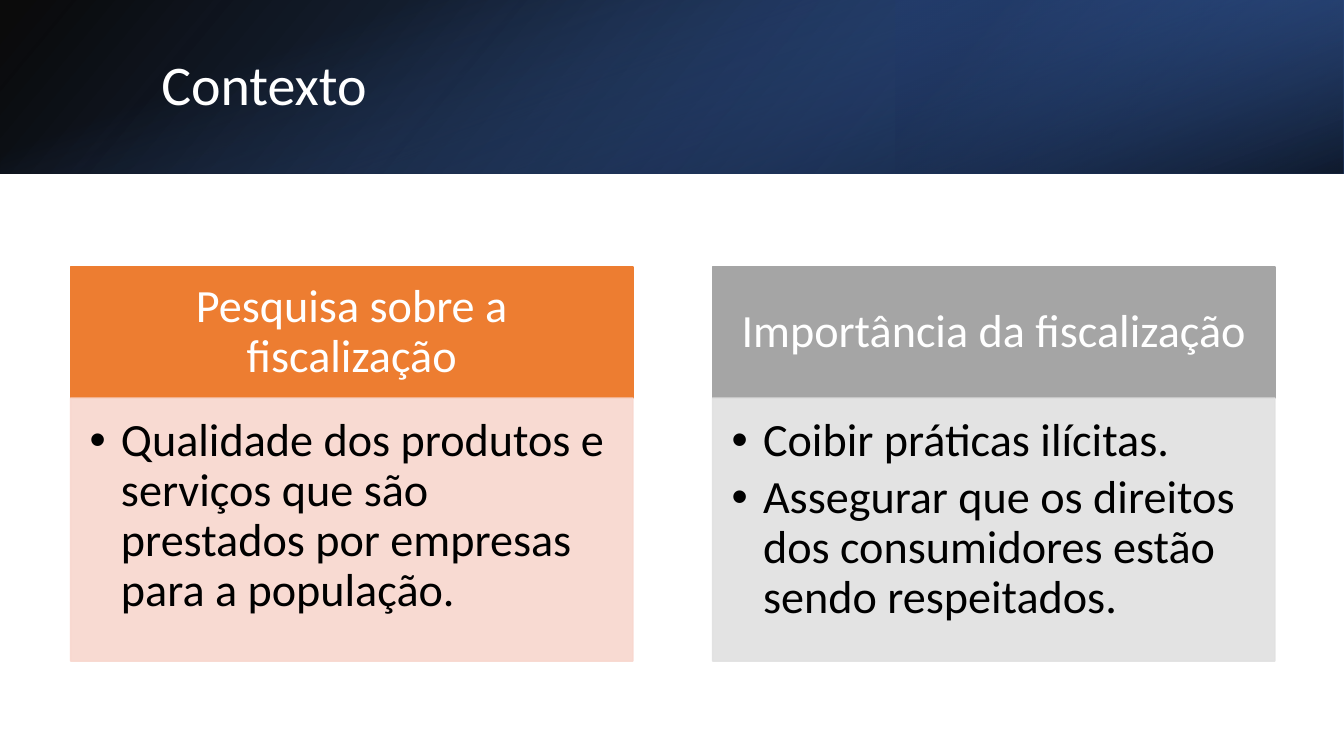
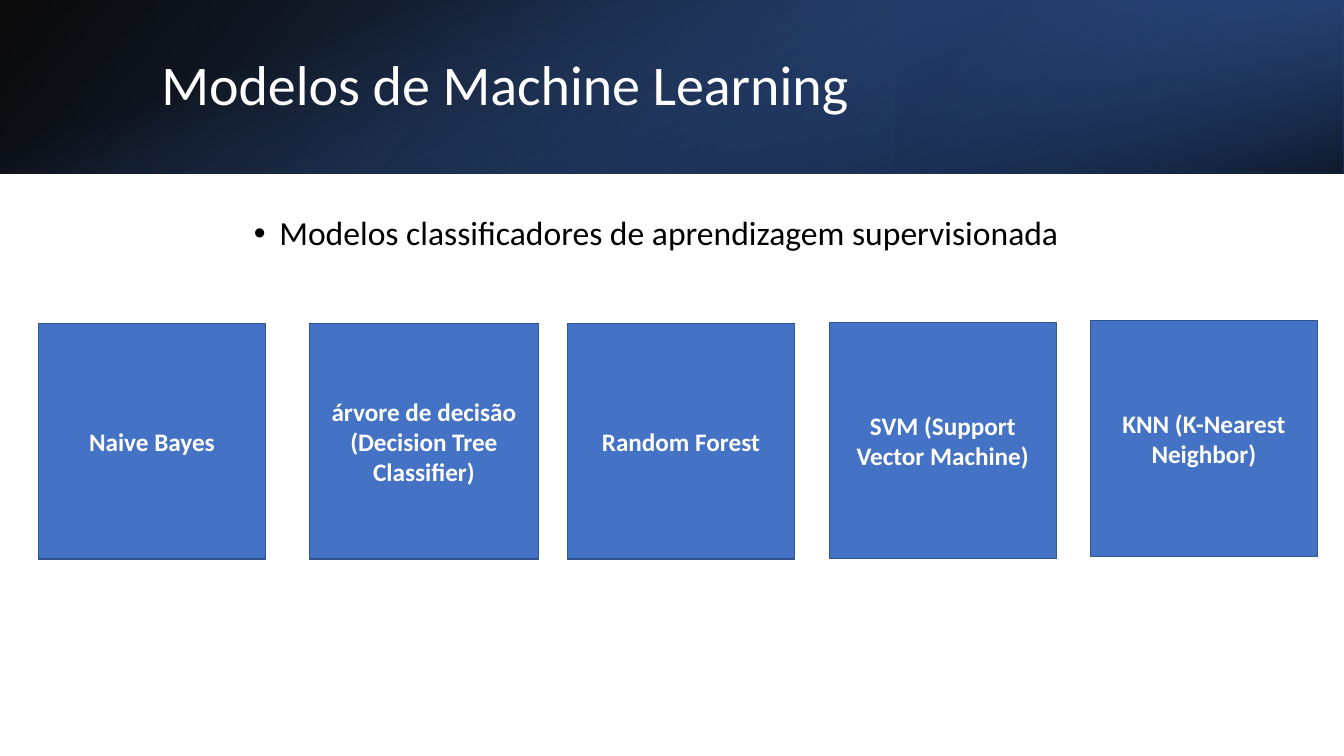
from dataclasses import dataclass
from typing import Any, NamedTuple

from lxml.etree import SubElement
from pptx import Presentation
from pptx.dml.color import RGBColor
from pptx.enum.shapes import MSO_SHAPE
from pptx.enum.text import MSO_ANCHOR, PP_ALIGN
from pptx.oxml.ns import qn
from pptx.util import Cm, Pt

WHITE = RGBColor(0xFF, 0xFF, 0xFF)
BLACK = RGBColor(0x00, 0x00, 0x00)
NAVY = RGBColor(0x20, 0x38, 0x64)
DEEP_BLUE = RGBColor(0x2F, 0x55, 0x97)
BLUE = RGBColor(0x44, 0x72, 0xC4)
BLUE_EDGE = RGBColor(0x32, 0x54, 0x91)
ORANGE = RGBColor(0xED, 0x7D, 0x31)
PEACH = RGBColor(0xF8, 0xD7, 0xCE)
GRAY = RGBColor(0xA5, 0xA5, 0xA5)
LIGHT_GRAY = RGBColor(0xE1, 0xE1, 0xE1)

SLIDE_W, SLIDE_H = 33.87, 19.05
BAND_H = 4.37
BAND_OFFSET = (SLIDE_W - BAND_H) / 2

TITLE_FONT = {"name": "Calibri", "size": Pt(40), "bold": False}
CARD_FONT = {"name": "Calibri", "size": Pt(33), "bold": False}
MODEL_FONT = {"name": "Calibri", "size": Pt(18), "bold": True}
LEAD_FONT = {"name": "Calibri", "size": Pt(24), "bold": False}

HEAD_FRAME = {
    "word_wrap": True, "vertical_anchor": MSO_ANCHOR.MIDDLE,
    "margin_left": Cm(0.66), "margin_right": Cm(0.66),
    "margin_top": Cm(0.38), "margin_bottom": Cm(0.38),
}
BODY_FRAME = {
    "word_wrap": True, "vertical_anchor": MSO_ANCHOR.TOP,
    "margin_left": Cm(0.48), "margin_right": Cm(0.66),
    "margin_top": Cm(0.48), "margin_bottom": Cm(0.74),
}
MIDDLE_FRAME = {"word_wrap": True, "vertical_anchor": MSO_ANCHOR.MIDDLE}
TOP_FRAME = {"word_wrap": True, "vertical_anchor": MSO_ANCHOR.TOP}

CENTERED = {"alignment": PP_ALIGN.CENTER}
TIGHT_CENTERED = {"alignment": PP_ALIGN.CENTER, "line_spacing": 0.9}
TIGHT_LEFT = {"alignment": PP_ALIGN.LEFT, "line_spacing": 0.9}
CARD_ITEM = TIGHT_LEFT | {"space_after": Pt(5)}


class Box(NamedTuple):
    left: float
    top: float
    width: float
    height: float


class Stop(NamedTuple):
    position: float
    color: RGBColor
    alpha: int


@dataclass
class Band:
    box: Box
    stops: tuple[Stop, Stop]
    angle: int
    rotation: int = 0
    flip: bool = False


@dataclass
class Card:
    heading: str
    items: list[str]
    head_color: RGBColor
    body_color: RGBColor


@dataclass
class Model:
    text: str
    left: float
    top: float = 8.15
    width: float = 5.72


BANDS = [
    Band(Box(0, 0, SLIDE_W, BAND_H),
         (Stop(0, BLACK, 96), Stop(1, DEEP_BLUE, 100)), 140, flip=True),
    Band(Box(22.58, 0, 11.29, BAND_H),
         (Stop(0.19, NAVY, 68), Stop(1, BLUE, 79)), 320, 180, True),
    Band(Box(BAND_OFFSET, -BAND_OFFSET, BAND_H, SLIDE_W),
         (Stop(0.23, BLUE, 0), Stop(0.99, BLACK, 74)), 340, 90),
]

CARDS = [
    Card("Pesquisa sobre a fiscalização",
         ["Qualidade dos produtos e serviços que são prestados por empresas "
          "para a população."], ORANGE, PEACH),
    Card("Importância da fiscalização",
         ["Coibir práticas ilícitas.",
          "Assegurar que os direitos dos consumidores estão sendo respeitados."],
         GRAY, LIGHT_GRAY),
]
CARD_LEFT, CARD_TOP, CARD_W, CARD_PITCH = 1.78, 6.73, 14.17, 16.18
HEAD_H, BODY_H = 3.3, 6.63

MODELS = [
    Model("Naive Bayes", 0.97),
    Model("árvore de decisão (Decision Tree Classifier)", 7.8, width=5.77),
    Model("Random Forest", 14.3),
    Model("SVM (Support Vector Machine)", 20.9, 8.13),
    Model("KNN (K-Nearest Neighbor)", 27.48, 8.08),
]
MODEL_H = 5.94


def apply(target: Any, formats: dict[str, Any]) -> None:
    for name, value in formats.items():
        setattr(target, name, value)


def lengths(box: Box) -> list[Cm]:
    return [Cm(v) for v in box]


def add_bullet(p: Any, indent: float) -> None:
    pPr = p._p.get_or_add_pPr()
    pPr.set("marL", str(Cm(indent)))
    pPr.set("indent", str(-Cm(indent)))
    SubElement(pPr, qn("a:buFont")).set("typeface", "Arial")
    SubElement(pPr, qn("a:buChar")).set("char", "•")


def write(tf: Any, texts: list[str], frame: dict, para: dict, font: dict,
          color: RGBColor, indent: float = 0) -> None:
    apply(tf, frame)
    for i, text in enumerate(texts):
        p = tf.add_paragraph() if i else tf.paragraphs[0]
        if indent:
            add_bullet(p, indent)
        apply(p, para)
        r = p.add_run()
        r.text = text
        apply(r.font, font)
        r.font.color.rgb = color


def set_alphas(sp: Any, alphas: list[int]) -> None:
    for clr, alpha in zip(sp._element.spPr.iter(qn("a:srgbClr")), alphas):
        if alpha < 100:
            SubElement(clr, qn("a:alpha")).set("val", str(alpha * 1000))


def add_rect(s: Any, box: Box) -> Any:
    sp = s.shapes.add_shape(MSO_SHAPE.RECTANGLE, *lengths(box))
    sp.shadow.inherit = False
    return sp


def add_panel(s: Any, box: Box, fill: RGBColor, line: RGBColor,
              alpha: int = 100) -> Any:
    sp = add_rect(s, box)
    sp.fill.solid()
    sp.fill.fore_color.rgb = fill
    sp.line.color.rgb = line
    sp.line.width = Pt(1)
    set_alphas(sp, [alpha, alpha])
    return sp


def add_band(s: Any, band: Band) -> None:
    sp = add_rect(s, band.box)
    sp.rotation = band.rotation
    if band.flip:
        sp._element.spPr.xfrm.set("flipH", "1")
    sp.line.fill.background()
    sp.fill.gradient()
    sp.fill.gradient_angle = 360 - band.angle
    for target, stop in zip(sp.fill.gradient_stops, band.stops):
        target.position = stop.position
        target.color.rgb = stop.color
    set_alphas(sp, [stop.alpha for stop in band.stops])


def add_titled_slide(prs: Any, text: str) -> Any:
    s = prs.slides.add_slide(prs.slide_layouts[5])
    for band in BANDS:
        add_band(s, band)
    title = s.shapes.title
    names = ("left", "top", "width", "height")
    apply(title, dict(zip(names, lengths(Box(3.81, 0.97, 27.89, 2.44)))))
    write(title.text_frame, [text], MIDDLE_FRAME, TIGHT_LEFT, TITLE_FONT, WHITE)
    s.shapes._spTree.append(title._element)
    return s


def add_card(s: Any, card: Card, left: float) -> None:
    head = add_panel(s, Box(left, CARD_TOP, CARD_W, HEAD_H),
                     card.head_color, card.head_color)
    write(head.text_frame, [card.heading], HEAD_FRAME, TIGHT_CENTERED,
          CARD_FONT, WHITE)
    body = add_panel(s, Box(left, CARD_TOP + HEAD_H, CARD_W, BODY_H),
                     card.body_color, card.body_color, 90)
    write(body.text_frame, card.items, BODY_FRAME, CARD_ITEM, CARD_FONT,
          BLACK, 0.79)


def add_model(s: Any, model: Model) -> None:
    sp = add_panel(s, Box(model.left, model.top, model.width, MODEL_H),
                   BLUE, BLUE_EDGE)
    write(sp.text_frame, [model.text], MIDDLE_FRAME, CENTERED, MODEL_FONT, WHITE)


def build_context(prs: Any) -> None:
    s = add_titled_slide(prs, "Contexto")
    for i, card in enumerate(CARDS):
        add_card(s, card, CARD_LEFT + i * CARD_PITCH)


def build_models(prs: Any) -> None:
    s = add_titled_slide(prs, "Modelos de Machine Learning")
    for model in MODELS:
        add_model(s, model)
    lead = s.shapes.add_textbox(*lengths(Box(6.15, 5.33, 21.41, 2.44)))
    write(lead.text_frame,
          ["Modelos classificadores de aprendizagem supervisionada"],
          TOP_FRAME, TIGHT_LEFT, LEAD_FONT, BLACK, 0.64)


def main() -> None:
    prs = Presentation()
    prs.slide_width, prs.slide_height = Cm(SLIDE_W), Cm(SLIDE_H)
    build_context(prs)
    build_models(prs)
    prs.save("out.pptx")


if __name__ == "__main__":
    main()
